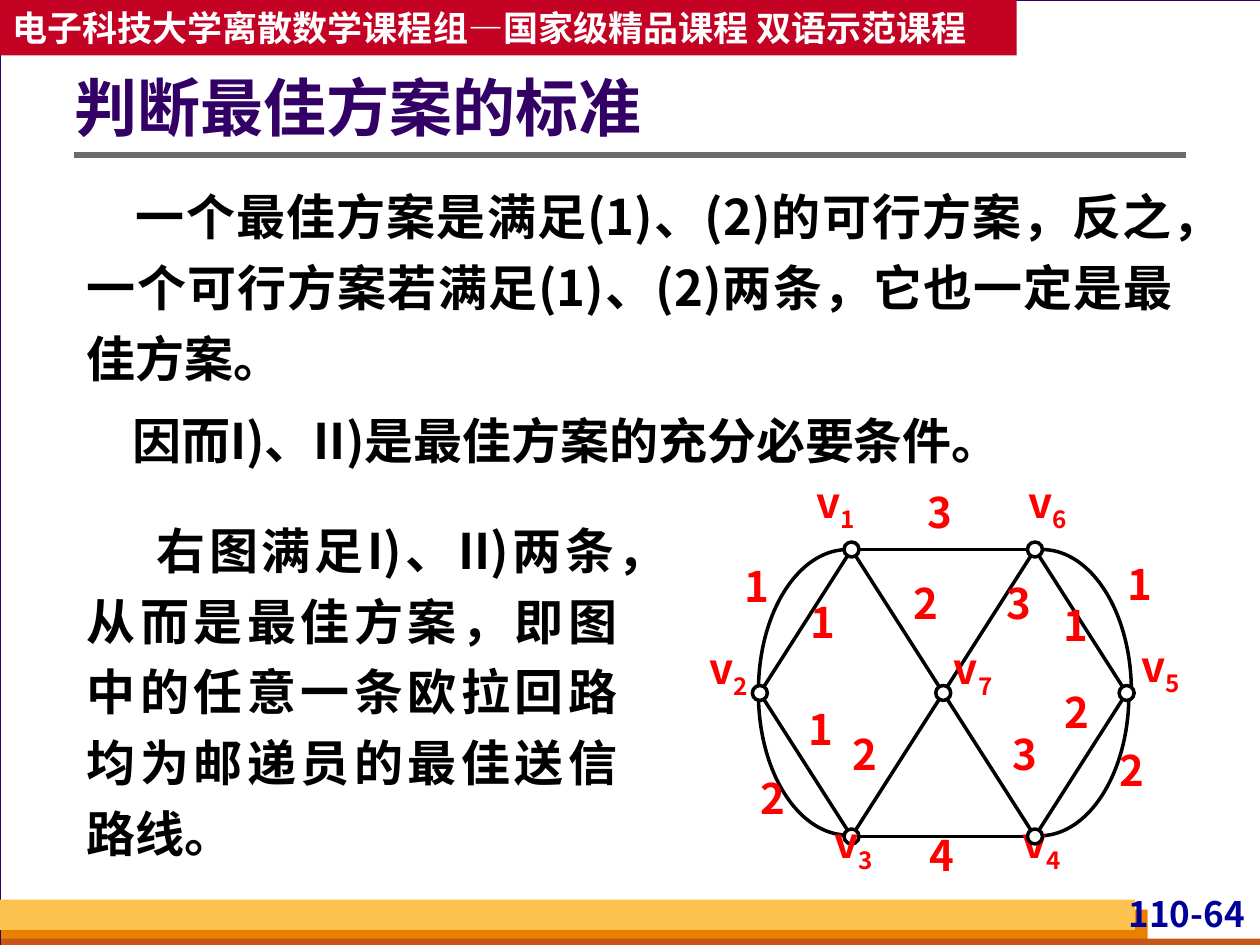
"""Build the slide on the criterion for an optimal postman route."""
import dataclasses

import pptx
import pptx.dml.color
import pptx.enum.shapes
import pptx.enum.text
import pptx.oxml.ns
import pptx.util
from lxml import etree

Pt = pptx.util.Pt
Align = pptx.enum.text.PP_ALIGN
Anchor = pptx.enum.text.MSO_ANCHOR
Fit = pptx.enum.text.MSO_AUTO_SIZE
Preset = pptx.enum.shapes.MSO_SHAPE
qn = pptx.oxml.ns.qn


@dataclasses.dataclass(frozen=True)
class Theme:
    """Hold the font, colours and type sizes."""
    font: str = "Noto Sans CJK SC"
    white: str = "FFFFFF"
    ink: str = "000000"
    purple: str = "330066"
    red: str = "FF0000"
    navy: str = "000099"
    grey: str = "6B6B6B"
    banner: str = "C30224"
    orange: str = "E88000"
    rust: str = "C95616"
    amber: str = "FCC24F"
    backdrop: str = "D8DADA"
    title_size: float = 36
    body_size: float = 28
    label_size: float = 24
    small_size: float = 20


def rgb(value):
    """Turn a hexadecimal string into a colour."""
    return pptx.dml.color.RGBColor.from_string(value)


def write(paragraph, text, *, font, size, color, align=Align.LEFT, spacing=None,
          before=0, indent=0, subscript=False):
    """Add a formatted bold run to a paragraph."""
    properties = paragraph._p.get_or_add_pPr()
    if properties.find(qn("a:buNone")) is None:
        properties.set("marL", "0")
        properties.set("indent", str(Pt(indent)))
        etree.SubElement(properties, qn("a:buNone"))
        paragraph.alignment = align
        paragraph.space_before = Pt(before)
        if spacing:
            paragraph.line_spacing = spacing
    run = paragraph.add_run()
    run.text = text
    run.font.size = Pt(size)
    run.font.bold = True
    run.font.color.rgb = rgb(color)
    run.font.name = font
    run_properties = run.font._element
    etree.SubElement(run_properties, qn("a:ea")).set("typeface", font)
    if subscript:
        run_properties.set("baseline", "-25000")


class SlideBuilder:
    """Draw styled elements on the current slide."""

    def __init__(self, slide, theme):
        self.slide = slide
        self.theme = theme
        self.shapes = slide.shapes
        slide.background.fill.solid()
        slide.background.fill.fore_color.rgb = rgb(theme.backdrop)

    def start_group(self):
        """Send the following elements to a new group."""
        self.shapes = self.slide.shapes.add_group_shape().shapes

    def shape(self, preset, box, fill=None, line=None, width=1):
        """Add a preset shape."""
        shape = self.shapes.add_shape(preset, *map(Pt, box))
        shape.shadow.inherit = False
        if fill:
            shape.fill.solid()
            shape.fill.fore_color.rgb = rgb(fill)
        else:
            shape.fill.background()
        if line:
            shape.line.color.rgb = rgb(line)
            shape.line.width = Pt(width)
        else:
            shape.line.fill.background()
        return shape

    def line(self, start, end, color, width):
        """Add a straight connector."""
        connector = self.shapes.add_connector(
            pptx.enum.shapes.MSO_CONNECTOR.STRAIGHT, *map(Pt, (*start, *end)))
        connector.line.color.rgb = rgb(color)
        connector.line.width = Pt(width)
        etree.SubElement(connector._element.spPr, qn("a:effectLst"))

    def arc(self, left, top, start_angle):
        """Add a quarter of an ellipse."""
        arc = self.shape(Preset.ARC, (left, top, 102.2, 161.6), line=self.theme.ink, width=2)
        arc.adjustments[0] = start_angle * 0.6
        arc.adjustments[1] = (start_angle + 90) % 360 * 0.6

    def node(self, center):
        """Add a graph vertex."""
        x, y = center
        self.shape(Preset.OVAL, (x - 4.3, y - 4.3, 8.6, 8.6), self.theme.white, self.theme.ink, 2)

    def frame(self, shape, insets=(7.2, 3.6, 7.2, 3.6), anchor=Anchor.TOP, wrap=True, fit=Fit.NONE):
        """Set up the text frame of a shape."""
        frame = shape.text_frame
        frame.margin_left, frame.margin_top, frame.margin_right, frame.margin_bottom = map(Pt, insets)
        frame.vertical_anchor = anchor
        frame.word_wrap = wrap
        frame.auto_size = fit
        return frame

    def text_box(self, box, runs, insets=(0, 0, 0, 0), **style):
        """Add a text box with one paragraph; runs after the first are subscripts."""
        shape = self.shapes.add_textbox(*map(Pt, box))
        frame = self.frame(shape, insets, fit=Fit.SHAPE_TO_FIT_TEXT)
        for index, text in enumerate(runs):
            write(frame.paragraphs[0], text, font=self.theme.font, subscript=index > 0, **style)

    def label(self, box, *runs):
        """Add a red graph label."""
        self.text_box(box, runs, size=self.theme.label_size, color=self.theme.red, align=Align.CENTER)

    def placeholder(self, shape, box, insets, anchor=Anchor.TOP):
        """Move a placeholder to the front and return its text frame."""
        shape.left, shape.top, shape.width, shape.height = map(Pt, box)
        shape.element.getparent().append(shape.element)
        return self.frame(shape, insets, anchor)


def draw_furniture(builder):
    """Draw the backdrop, bars, page number and banner."""
    theme = builder.theme
    builder.shape(Preset.RECTANGLE, (0, 0, 720.7, 540), theme.white, theme.purple, 0.75)
    for box, color in (((0.7, 519.8, 655.2, 20.2), theme.orange),
                       ((0.7, 536.4, 719.3, 5.8), theme.rust),
                       ((0, 514.1, 648.7, 17.3), theme.amber)):
        builder.shape(Preset.RECTANGLE, box, color)
    builder.text_box((626.4, 509.8, 87.8, 27.4), ["110-64"], (2.9, 0, 2.9, 0),
                     size=theme.small_size, color=theme.navy, align=Align.RIGHT)
    builder.line((42.5, 88.6), (677.5, 88.6), theme.grey, 3)
    banner = builder.shape(Preset.RECTANGLE, (0, 0, 581, 31.7), theme.banner)
    frame = builder.frame(banner, anchor=Anchor.MIDDLE, wrap=False)
    write(frame.paragraphs[0], "电子科技大学离散数学课程组—国家级精品课程 双语示范课程",
          font=theme.font, size=theme.small_size, color=theme.white)


def draw_text(builder):
    """Fill the title, the list and the remark beside the graph."""
    theme = builder.theme
    title, body = builder.slide.placeholders
    frame = builder.placeholder(title, (42.5, 27.4, 635, 72.7), (0, 3.6, 7.2, 3.6), Anchor.MIDDLE)
    write(frame.paragraphs[0], "判断最佳方案的标准", font=theme.font, size=theme.title_size,
          color=theme.purple, spacing=0.9)
    style = dict(size=theme.body_size, color=theme.ink, align=Align.JUSTIFY, spacing=1.2)
    frame = builder.placeholder(body, (42.5, 96.5, 635, 175.7), (7.2, 3.6, 7.2, 3.6))
    write(frame.paragraphs[0],
          "一个最佳方案是满足(1)、(2)的可行方案，反之，一个可行方案若满足(1)、(2)两条，它也一定是最佳方案。",
          font=theme.font, indent=28, **style)
    write(frame.add_paragraph(), "因而I)、II)是最佳方案的充分必要条件。",
          font=theme.font, indent=26, before=7, **style)
    builder.text_box((42.5, 287.3, 317.5, 208.8),
                     ["右图满足I)、II)两条，从而是最佳方案，即图中的任意一条欧拉回路均为邮递员的最佳送信路线。"],
                     (7.2, 3.6, 7.2, 3.6), indent=40, **style)


def draw_graph(builder):
    """Draw the weighted graph with its doubled edges."""
    grid = {"1": (1, 0), "2": (0, 1), "3": (1, 2), "4": (3, 2), "5": (4, 1), "6": (3, 0), "7": (2, 1)}
    centers = {name: (434.2 + 52.4 * column, 314 + 82 * row) for name, (column, row) in grid.items()}
    builder.start_group()
    for start, end in ("16", "12", "17", "67", "65", "23", "73", "74", "54", "34"):
        builder.line(centers[start], centers[end], builder.theme.ink, 2)
    for arc in ((544.3, 314, 270), (542.9, 316, 0), (433.4, 315.6, 90), (433.4, 314, 180)):
        builder.arc(*arc)
    builder.node(centers.pop("3"))
    vertex_labels = {"1": (460.8, 272.2), "2": (399.6, 367.2), "3": (470.9, 466.6), "4": (578.2, 466.6),
                     "5": (646.6, 365.8), "6": (581.8, 272.2), "7": (539.3, 367.2)}
    for name, (left, top) in vertex_labels.items():
        builder.label((left, top, 33.8, 33.1), "v", name)
    weights = (("1", 424.1, 320.4), ("1", 461.5, 340.6), ("1", 606.2, 342.7), ("1", 643, 319),
               ("1", 460.8, 401.8), ("2", 433.4, 441.4), ("2", 486, 416.2), ("2", 607, 392.4),
               ("2", 520.6, 329.8), ("2", 638.6, 425.5), ("3", 573.8, 329.8), ("3", 577.4, 416.2),
               ("3", 528.5, 277.9), ("4", 529.9, 473.8))
    for weight, left, top in weights:
        builder.label((left, top, 17, 28.8), weight)
    for center in centers.values():
        builder.node(center)


def main():
    """Create and save the presentation."""
    presentation = pptx.Presentation()
    presentation.slide_width, presentation.slide_height = Pt(720), Pt(540)
    slide = presentation.slides.add_slide(presentation.slide_layouts[1])
    builder = SlideBuilder(slide, Theme())
    draw_furniture(builder)
    draw_text(builder)
    draw_graph(builder)
    presentation.save("out.pptx")


if __name__ == "__main__":
    main()
